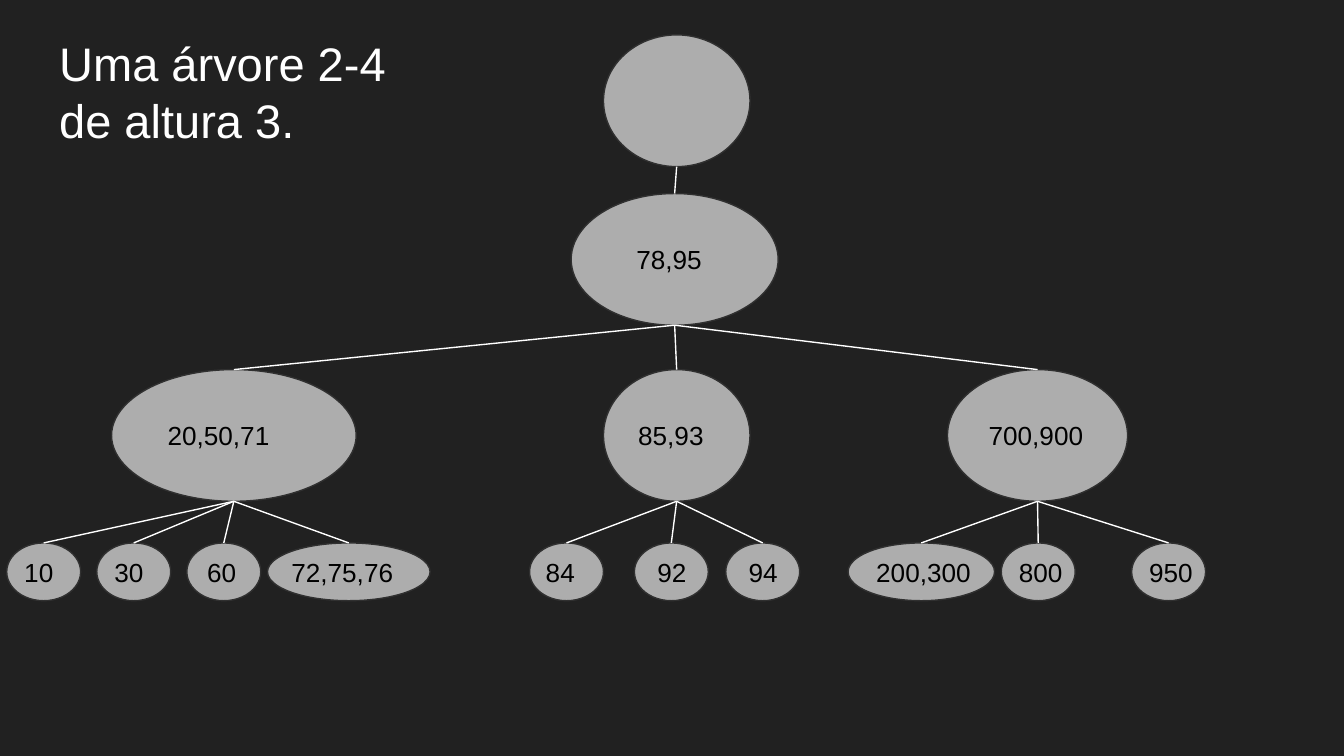
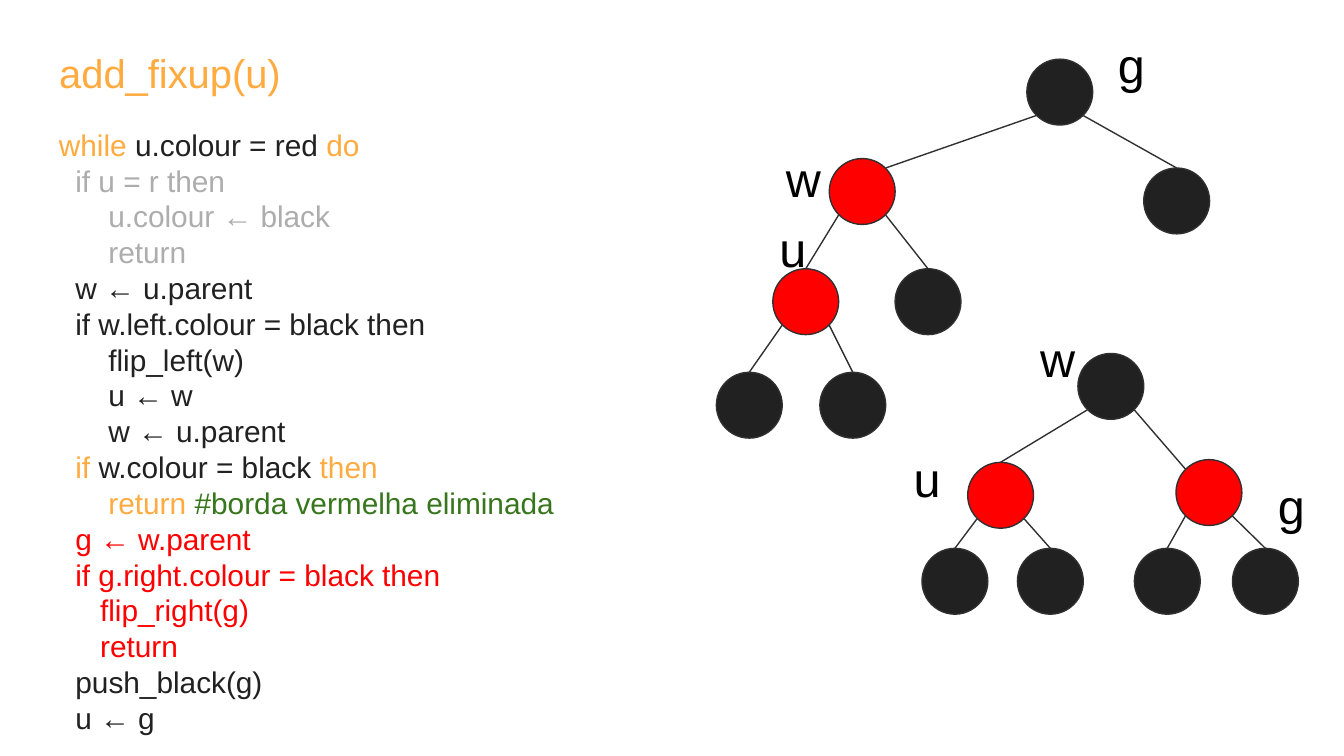
from lxml import etree
from pptx import Presentation
from pptx import util as u
from pptx.dml import color as clr
from pptx.enum import shapes, text
from pptx.oxml import ns

PX = 9144
DARK, GREY, EDGE = "212121", "ADADAD", "303030"
WHITE, BLACK, RED = "FFFFFF", "000000", "FF0000"
GOLD, GREEN = "FFAB40", "38761D"
DOT = 49
NEAR, FAR = 7, 42


def px(n):
    return u.Emu(n * PX)


def rgb(code):
    return clr.RGBColor.from_string(code)


def put(item, vals):
    for name, val in vals.items():
        setattr(item, name, val)


class Deck:
    """Holds the style and the current slide, and draws each kind of element."""

    def __init__(self):
        self.prs = Presentation()
        wide = px(1000)
        put(self.prs, {"slide_width": wide, "slide_height": wide * 9 // 16})

    def page(self, back, line):
        self.slide = self.prs.slides.add_slide(self.prs.slide_layouts[5])
        self.line = line
        fill = self.slide.background.fill
        fill.solid()
        fill.fore_color.rgb = rgb(back)

    def ink(self, run, size, color):
        put(run.font, {"name": "Arial", "size": u.Pt(size)})
        run.font.color.rgb = rgb(color)

    def frame(self, shape, pads, anchor=text.MSO_ANCHOR.TOP,
              fit=text.MSO_AUTO_SIZE.NONE):
        body = shape.text_frame
        sides = ("margin_left", "margin_top", "margin_right", "margin_bottom")
        put(body, dict(zip(sides, map(px, pads))))
        put(body, {"word_wrap": True, "auto_size": fit, "vertical_anchor": anchor})
        return body

    def fill(self, body, rows, size):
        for i, row in enumerate(rows):
            para = body.add_paragraph() if i else body.paragraphs[0]
            put(para, {"alignment": text.PP_ALIGN.LEFT, "line_spacing": 1.0,
                       "space_before": u.Pt(0)})
            for words, color in row:
                run = para.add_run()
                run.text = words
                self.ink(run, size, color)

    def title(self, words, box, size, color):
        head = self.slide.shapes.title
        put(head, dict(zip(("left", "top", "width", "height"), map(px, box))))
        body = self.frame(head, (10, 10, 10, 10))
        body.text = words
        para = body.paragraphs[0]
        put(para, {"alignment": text.PP_ALIGN.LEFT, "line_spacing": 1.0})
        for run in para.runs:
            self.ink(run, size, color)

    def note(self, rows, box, size):
        area = self.slide.shapes.add_textbox(*map(px, box))
        body = self.frame(area, (10, 10, 10, 10),
                          fit=text.MSO_AUTO_SIZE.SHAPE_TO_FIT_TEXT)
        self.fill(body, rows, size)

    def node(self, box, color, label="", pad=0):
        oval = self.slide.shapes.add_shape(shapes.MSO_SHAPE.OVAL, *map(px, box))
        oval.shadow.inherit = False
        oval.fill.solid()
        oval.fill.fore_color.rgb = rgb(color)
        oval.line.color.rgb = rgb(EDGE)
        oval.line.width = u.Pt(0.75)
        if label:
            body = self.frame(oval, (pad, 0, 0, 0), text.MSO_ANCHOR.MIDDLE)
            self.fill(body, [[(label, BLACK)]], 14)
        return oval

    def link(self, start, end, child=None):
        wire = self.slide.shapes.add_connector(
            shapes.MSO_CONNECTOR.STRAIGHT, *start, *end)
        wire.line.color.rgb = rgb(self.line)
        wire.line.width = u.Pt(0.75)
        etree.SubElement(wire.element.spPr, ns.qn("a:effectLst"))
        if child is not None:
            wire.end_connect(child, 0)

    def drop(self, top, child):
        start = top.left + top.width // 2, top.top + top.height
        self.link(start, (child.left + child.width // 2, child.top), child)

    def fork(self, top, child, side=False):
        left = child.left < top.left
        start = top.left + px(NEAR if left else FAR), top.top + px(FAR)
        if side:
            self.link(start, (child.left + px(FAR if left else NEAR),
                              child.top + px(NEAR)))
        else:
            self.link(start, (child.left + child.width // 2, child.top), child)


def tree(deck):
    deck.page(DARK, WHITE)
    deck.title("Uma árvore 2-4 \vde altura 3.", (34, 16, 932, 63), 25.2, WHITE)
    root = deck.node((449, 26, 109, 98), GREY)
    main = deck.node((425, 144, 154, 98), GREY, "78,95", 26)
    pairs = [(root, main)]
    groups = (
        ((83, 182, "20,50,71", 15),
         ((5, 55, "10", 5), (72, 55, "30", 5), (139, 55, "60", 7),
          (199, 121, "72,75,76", 0))),
        ((449, 109, "85,93", 10),
         ((394, 55, "84", 4), (472, 55, "92", 9), (540, 55, "94", 9))),
        ((705, 134, "700,900", 11),
         ((631, 109, "200,300", 5), (745, 55, "800", 5), (842, 55, "950", 5))),
    )
    for (x, wide, label, pad), leaves in groups:
        mid = deck.node((x, 275, wide, 98), GREY, label, pad)
        pairs.append((main, mid))
        for x, wide, label, pad in leaves:
            leaf = deck.node((x, 404, wide, 43), GREY, label, pad)
            pairs.append((mid, leaf))
    for top, child in pairs:
        deck.drop(top, child)


def fixup(deck):
    deck.page(WHITE, EDGE)
    deck.title("add_fixup(u)", (34, 26, 249, 63), 21.4, GOLD)
    code = [
        [("while ", GOLD), ("u.colour = red ", DARK), ("do", GOLD)],
        [("  if u = r then", GREY)],
        [("      u.colour ← black", GREY)],
        [("      return", GREY)],
        [("  w ← u.parent", DARK)],
        [("  if w.left.colour = black then", DARK)],
        [("      flip_left(w)", DARK)],
        [("      u ← w", DARK)],
        [("      w ← u.parent", DARK)],
        [("  if ", GOLD), ("w.colour = black ", DARK), ("then", GOLD)],
        [("      return", GOLD), (" #borda vermelha eliminada", GREEN)],
        [("  g ← w.parent", RED)],
        [("  if g.right.colour = black then", RED)],
        [("     flip_right(g)", RED)],
        [("     return", RED)],
        [("  push_black(g)", DARK)],
        [("  u ← g", DARK)],
    ]
    deck.note(code, (34, 84, 407, 478), 16)
    trees = (
        ({"g": (764, 44, DARK), "w": (617, 118, RED), "u": (575, 200, RED),
          "gr": (851, 125, DARK), "wr": (666, 200, DARK),
          "ul": (533, 277, DARK), "ur": (610, 277, DARK)},
         (("g", "w", True), ("g", "gr"), ("w", "u"), ("w", "wr"),
          ("u", "ul"), ("u", "ur"))),
        ({"w": (802, 263, DARK), "u": (720, 344, RED), "g": (875, 342, RED),
          "ul": (686, 408, DARK), "ur": (757, 408, DARK),
          "gl": (844, 408, DARK), "gr": (917, 408, DARK)},
         (("w", "u"), ("w", "g", True), ("u", "ul"), ("u", "ur"),
          ("g", "gl"), ("g", "gr"))),
    )
    for spots, forks in trees:
        dots = {key: deck.node((x, y, DOT, DOT), color)
                for key, (x, y, color) in spots.items()}
        for top, child, *side in forks:
            deck.fork(dots[top], dots[child], *side)
    for name, x, y in (("g", 822, 16), ("w", 575, 101), ("u", 570, 153),
                       ("w", 764, 235), ("u", 670, 324), ("g", 941, 344)):
        deck.note([[(name, BLACK)]], (x, y, 33, 64), 26)


def main():
    deck = Deck()
    tree(deck)
    fixup(deck)
    deck.prs.save("out.pptx")


if __name__ == "__main__":
    main()
